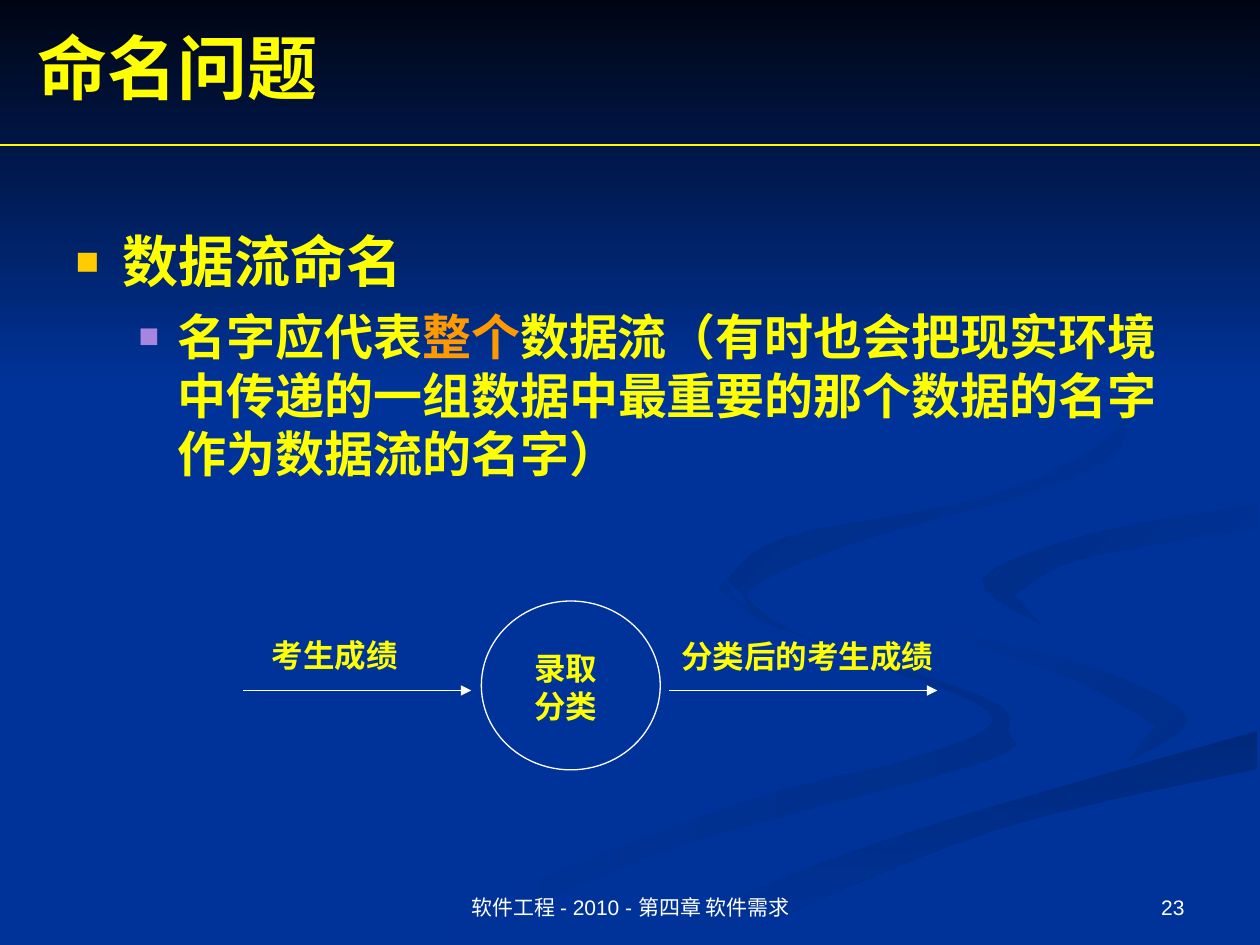
from pptx import Presentation, util as u
from pptx.dml.color import RGBColor
from pptx.enum import shapes, text
from pptx.oxml.ns import qn
from lxml import etree

CELL = u.Inches(0.1)  # the slide is a grid of 100 columns by 75 rows
COLS, ROWS = 100, 75
STEPS = 5  # pieces between two knots of a curve
BLUE, YELLOW, WHITE = "003399", "FFFF00", "FFFFFF"
SERIF, SANS = "Times New Roman", "Arial"

# Each ribbon: start colour, end colour, clockwise angle, curved edges as knots in cells
RIBBONS = [
    ("002E8A", BLUE, 180, [
        [(57.5, 46), (61, 49.5), (78, 55.3), (80, 58), (78, 60.5), (53, 67.4), (36, 74.9)],
        [(30, 74.9), (58, 64), (73, 60), (78.5, 56.5), (65.4, 51.3), (57, 46.8)]]),
    ("002E8A", BLUE, 225, [
        [(72.4, 46.4), (76, 50), (87, 53), (94.3, 57), (89.4, 60.5)],
        [(91.7, 57.6), (85.4, 54), (75.5, 50.5)]]),
    ("00297C", BLUE, 90, [
        [(50.3, 74.9), (63, 69.3), (76.4, 64.7), (99.8, 58)],
        [(99.8, 61), (78.5, 66), (57, 74.9)]]),
    (BLUE, BLUE, 0, [
        [(72.5, 46.4), (76, 50), (87, 53), (94.3, 57), (89.4, 60.5), (70, 65.5), (47.7, 74.9)],
        [(50.3, 74.9), (63, 69.3), (76.4, 64.7), (99.8, 58)],
        [(99.8, 54), (85, 50.3), (78, 46.3), (86.5, 42.4), (99.8, 40)],
        [(99.8, 38.7), (81, 41.7), (73, 45)]]),
    (BLUE, "002C85", 225, [
        [(99.8, 40), (86.5, 42.4), (78, 46), (82.6, 49.6)],
        [(80.5, 47.2), (86, 44.3), (99.8, 42)]]),
    (BLUE, "002B81", 225, [
        [(76, 23.3), (86.4, 29), (89.4, 34.4), (84, 38.4), (68, 43), (59.3, 47), (62, 50)],
        [(57.7, 46), (62.5, 42.6), (79, 39.2), (89, 33.5), (84.6, 28)]]),
    ("000514", BLUE, 90, [[(0, 30.8), (0, 0)], [(COLS, 0), (COLS, 30.8)]]),
]


def rgb(code):
    return RGBColor.from_string(code)


def grid(*cells):
    return [int(n * CELL) for n in cells]


def blend(a, b, c, d, t):
    """Catmull-Rom value between b and c."""
    return (2 * b + (c - a) * t + (2 * a - 5 * b + 4 * c - d) * t ** 2
            + (3 * b - a - 3 * c + d) * t ** 3) / 2


def curve(knots):
    ends = [knots[0], *knots, knots[-1]]
    points = [tuple(blend(*axis, n / STEPS) for axis in zip(*ends[i:i + 4]))
              for i in range(len(knots) - 1) for n in range(STEPS)]
    return points + [knots[-1]]


def ribbon(slide, start, end, angle, edges):
    points = [grid(*point) for edge in edges for point in curve(edge)]
    pen = slide.shapes.build_freeform(*points[0])
    pen.add_line_segments(points[1:], close=True)
    shape = pen.convert_to_shape()
    shape.shadow.inherit = False
    shape.line.fill.background()
    if start == end:
        shape.fill.solid()
        shape.fill.fore_color.rgb = rgb(start)
        return
    shape.fill.gradient()
    shape.fill.gradient_angle = 360 - angle
    for stop, code in zip(shape.fill.gradient_stops, (start, end)):
        stop.color.rgb = rgb(code)


def write(para, words, size, color=YELLOW, face=SERIF, bold=True):
    run = para.add_run()
    run.text = words
    font = run.font
    font.size, font.name, font.bold = u.Pt(size), face, bold
    font.color.rgb = rgb(color)


def bullet(para, color, left, hang):
    """Hang a square bullet; left and hang are in cells."""
    props = para._p.get_or_add_pPr()
    props.set("marL", str(int(left * CELL)))
    props.set("indent", str(int(-hang * CELL)))
    tint = etree.SubElement(props, qn("a:buClr"))
    etree.SubElement(tint, qn("a:srgbClr"), val=color)
    etree.SubElement(props, qn("a:buSzPct"), val="70000")
    etree.SubElement(props, qn("a:buFont"), typeface=SANS)
    etree.SubElement(props, qn("a:buChar"), char="■")


def place(holder, *cells):
    """Move a placeholder onto the grid, above the ribbons."""
    holder.left, holder.top, holder.width, holder.height = grid(*cells)
    holder.text_frame.auto_size = text.MSO_AUTO_SIZE.NONE
    tree = holder._element.getparent()
    tree.append(holder._element)
    return holder.text_frame


def label(slide, cells, lines, size=18, align=text.PP_ALIGN.LEFT,
          anchor=text.MSO_ANCHOR.TOP, wrap=True, **style):
    frame = slide.shapes.add_textbox(*grid(*cells)).text_frame
    frame.word_wrap = wrap
    frame.vertical_anchor = anchor
    for i, line in enumerate(lines):
        para = frame.add_paragraph() if i else frame.paragraphs[0]
        para.alignment = align
        write(para, line, size, **style)


def rule(slide, x1, x2, y, color, arrow=False):
    """Draw a level line, with an arrowhead at x2 if asked."""
    line = slide.shapes.add_connector(
        shapes.MSO_CONNECTOR.STRAIGHT, *grid(x1, y, x2, y))
    line.line.color.rgb = rgb(color)
    line.line.width = u.Pt(0.75)
    if arrow:
        etree.SubElement(line.line._get_or_add_ln(), qn("a:tailEnd"), type="triangle")
    etree.SubElement(line._element.spPr, qn("a:effectLst"))


def circle(slide, *cells):
    shape = slide.shapes.add_shape(shapes.MSO_SHAPE.OVAL, *grid(*cells))
    shape.shadow.inherit = False
    shape.fill.background()
    shape.line.color.rgb = rgb(WHITE)
    shape.line.width = u.Pt(0.75)


def fill_body(frame):
    head = frame.paragraphs[0]
    bullet(head, "FFCC00", 3.75, 3.75)
    head.space_before = u.Pt(0)
    write(head, "数据流命名", 32)
    item = frame.add_paragraph()
    item.level = 1
    bullet(item, "A886E0", 8.1, 3.1)
    item.space_before = u.Pt(7)
    for words, color in (
            ("名字应代表", YELLOW), ("整个", "FF9900"),
            ("数据流（有时也会把现实环境中传递的一组数据中最重要的那个数据的名字作为数据流的名字）", YELLOW)):
        write(item, words, 28, color)


def main():
    deck = Presentation()
    deck.slide_width, deck.slide_height = grid(COLS, ROWS)
    slide = deck.slides.add_slide(deck.slide_layouts[1])
    slide.background.fill.solid()
    slide.background.fill.fore_color.rgb = rgb(BLUE)
    for band in RIBBONS:
        ribbon(slide, *band)

    title, body = slide.placeholders
    fill_body(place(body, 5, 17.5, 90, 23.1))
    head = place(title, 2, 1.4, 90, 7.7).paragraphs[0]
    head.alignment = text.PP_ALIGN.LEFT
    write(head, "命名问题", 40)
    rule(slide, 0, COLS, 11.5, YELLOW)

    circle(slide, 38.2, 47.7, 14.2, 13.4)
    for x1, x2 in ((19.3, 37.4), (53.1, 74.4)):
        rule(slide, x1, x2, 54.8, WHITE, arrow=True)
    label(slide, (20.6, 50, 14.4, 4), ["考生成绩"])
    label(slide, (53.1, 50.1, 23.6, 4), ["分类后的考生成绩"])
    label(slide, (41.4, 51, 7, 7), ["录取", "分类"], wrap=False)

    foot = dict(size=12, anchor=text.MSO_ANCHOR.BOTTOM, color=WHITE, face=SANS, bold=False)
    label(slide, (34.2, 68.3, 31.7, 5.2), ["软件工程 - 2010 - 第四章 软件需求"],
          align=text.PP_ALIGN.CENTER, **foot)
    label(slide, (71.7, 68.3, 23.3, 5.2), ["23"], align=text.PP_ALIGN.RIGHT, **foot)
    deck.save("out.pptx")


if __name__ == "__main__":
    main()
